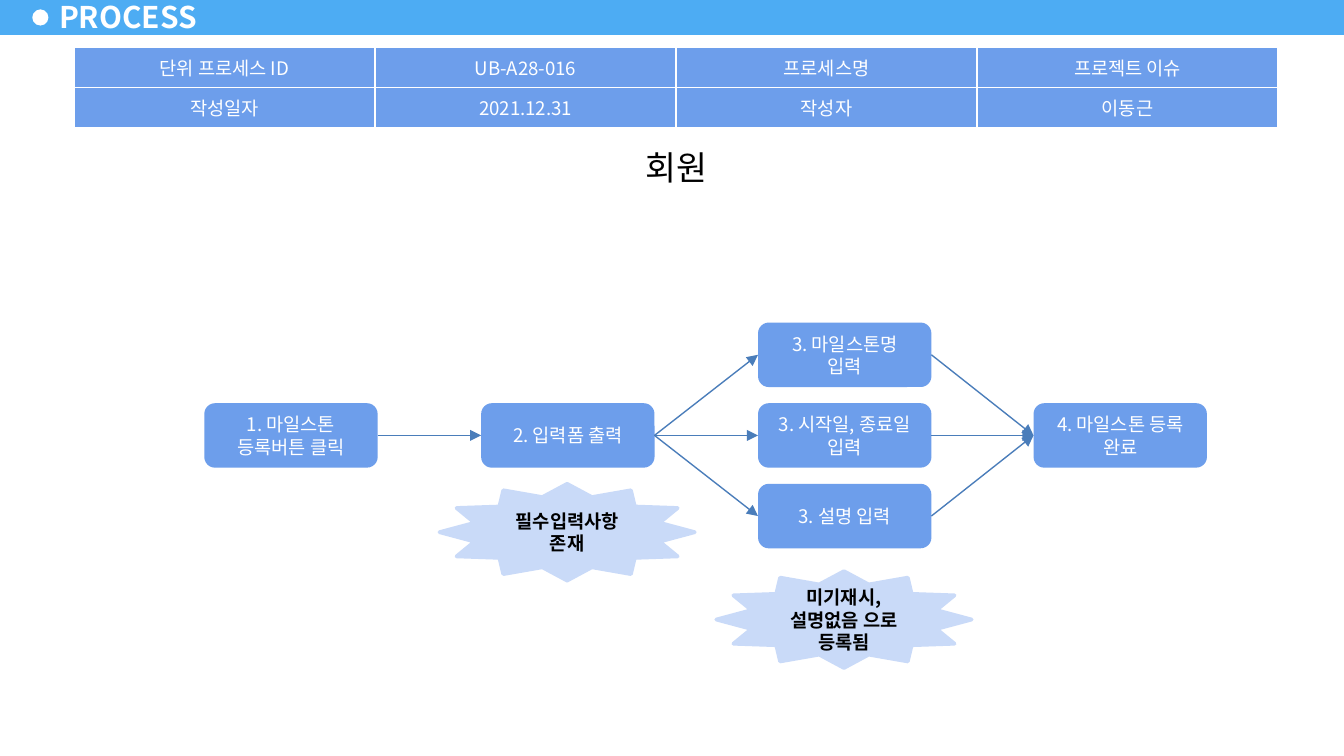
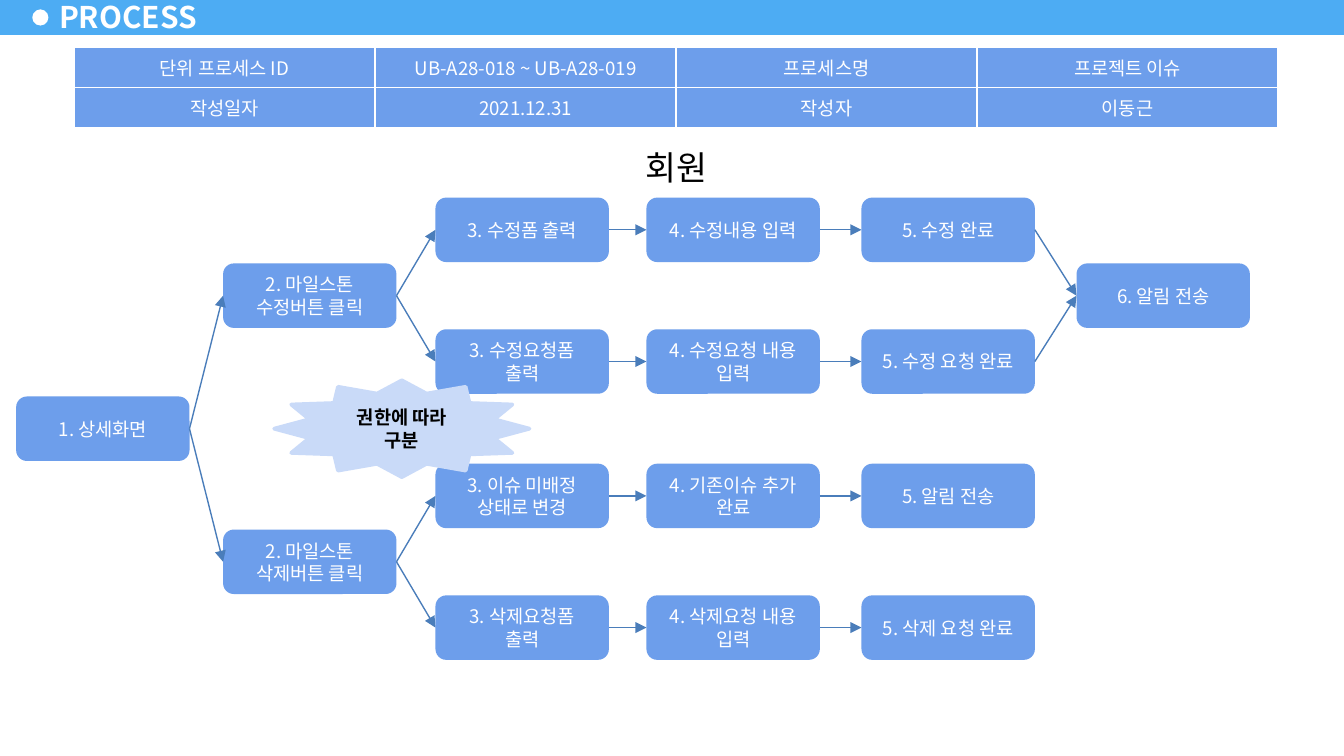
from dataclasses import dataclass

from lxml import etree
from pptx import Presentation
from pptx.dml.color import RGBColor
from pptx.enum import shapes, text
from pptx.oxml import ns
from pptx.util import Inches, Pt


@dataclass(frozen=True)
class Theme:
    """Colours, font and sizes of the whole deck."""
    font: str = "Noto Sans CJK KR"
    band: str = "4DACF3"
    node: str = "6D9EEB"
    note: str = "C9DAF8"
    arrow: str = "4A7DBA"
    white: str = "FFFFFF"
    black: str = "000000"
    title: int = 16
    heading: int = 18
    body: int = 10


T = Theme()
SHAPE = shapes.MSO_SHAPE
MIDDLE = text.MSO_ANCHOR.MIDDLE
CENTER = text.PP_ALIGN.CENTER
NODE_W, NODE_H = 1.29, 0.48
NOTE_W, NOTE_H = 1.9, 0.72

REGISTER = {
    "id": "UB-A28-016",
    "cols": [1.52, 3.58, 5.64, 7.69],
    "rows": [2.4, 3, 3.6],
    "nodes": {
        "click": (0, 1, "1. 마일스톤 등록버튼 클릭"),
        "form": (1, 1, "2. 입력폼 출력"),
        "name": (2, 0, "3. 마일스톤명 입력"),
        "dates": (2, 1, "3. 시작일, 종료일 입력"),
        "desc": (2, 2, "3. 설명 입력"),
        "done": (3, 1, "4. 마일스톤 등록 완료"),
    },
    "flows": ["click form", "form name done", "form dates done", "form desc done"],
    "notes": [(3.27, 3.6, "필수입력사항 존재"),
              (5.33, 4.25, "미기재시, 설명없음 으로 등록됨")],
}

EDIT = {
    "id": "UB-A28-018 ~ UB-A28-019",
    "cols": [0.12, 1.66, 3.24, 4.81, 6.41, 8.01],
    "rows": [1.47, 1.96, 2.45, 2.95, 3.45, 3.94, 4.43],
    "nodes": {
        "detail": (0, 3, "1. 상세화면"),
        "edit": (1, 1, "2. 마일스톤 수정버튼 클릭"),
        "delete": (1, 5, "2. 마일스톤 삭제버튼 클릭"),
        "edit_form": (2, 0, "3. 수정폼 출력"),
        "edit_input": (3, 0, "4. 수정내용 입력"),
        "edit_done": (4, 0, "5. 수정 완료"),
        "ask_form": (2, 2, "3. 수정요청폼 출력"),
        "ask_input": (3, 2, "4. 수정요청 내용 입력"),
        "ask_done": (4, 2, "5. 수정 요청 완료"),
        "unassign": (2, 4, "3. 이슈 미배정 상태로 변경"),
        "issue_added": (3, 4, "4. 기존이슈 추가 완료"),
        "issue_alert": (4, 4, "5. 알림 전송"),
        "drop_form": (2, 6, "3. 삭제요청폼 출력"),
        "drop_input": (3, 6, "4. 삭제요청 내용 입력"),
        "drop_done": (4, 6, "5. 삭제 요청 완료"),
        "alert": (5, 1, "6. 알림 전송"),
    },
    "flows": ["detail edit", "detail delete",
              "edit edit_form edit_input edit_done alert",
              "edit ask_form ask_input ask_done alert",
              "delete unassign issue_added issue_alert",
              "delete drop_form drop_input drop_done"],
    "notes": [(2.04, 2.83, "권한에 따라 구분")],
}


def rgb(value):
    """Turn a hex string into a colour."""
    return RGBColor.from_string(value)


def write(tf, words, size=T.body, color=T.white, bold=False, align=CENTER):
    """Put one formatted paragraph into a text frame."""
    p = tf.paragraphs[0]
    p.alignment = align
    r = p.add_run()
    r.text = words
    r.font.size, r.font.bold, r.font.name = Pt(size), bold, T.font
    r.font.color.rgb = rgb(color)
    ea = etree.SubElement(r._r.get_or_add_rPr(), ns.qn("a:ea"))
    ea.set("typeface", T.font)


def add_box(slide, kind, x, y, w, h, fill, line=None):
    """Add a flat filled shape, outlined only if a line colour is given."""
    sp = slide.shapes.add_shape(kind, Inches(x), Inches(y), Inches(w), Inches(h))
    sp.shadow.inherit = False
    sp.fill.solid()
    sp.fill.fore_color.rgb = rgb(fill)
    if line:
        sp.line.color.rgb = rgb(line)
        sp.line.width = Pt(2)
    else:
        sp.line.fill.background()
    sp.text_frame.word_wrap = True
    return sp


def add_node(slide, x, y, words):
    """Add one rounded process step."""
    sp = add_box(slide, SHAPE.ROUNDED_RECTANGLE, x, y, NODE_W, NODE_H, T.node)
    write(sp.text_frame, words)
    return sp


def add_note(slide, x, y, words):
    """Add a star-shaped remark."""
    sp = add_box(slide, SHAPE.STAR_12_POINT, x, y, NOTE_W, NOTE_H, T.note, T.note)
    write(sp.text_frame, words, color=T.black, bold=True)


def add_arrow(slide, start, end):
    """Join the right side of one step to the left side of the next."""
    line = slide.shapes.add_connector(shapes.MSO_CONNECTOR.STRAIGHT, 0, 0, 0, 0)
    line.begin_connect(start, 3)
    line.end_connect(end, 1)
    line.line.color.rgb = rgb(T.arrow)
    line.line.width = Pt(0.75)
    tail = etree.SubElement(line.line._get_or_add_ln(), ns.qn("a:tailEnd"))
    tail.set("type", "triangle")
    etree.SubElement(line._element.spPr, ns.qn("a:effectLst"))


def border_cell(cell):
    """Draw a thin white border on each side of a cell."""
    tc_pr = cell._tc.get_or_add_tcPr()
    for side in ("lnL", "lnR", "lnT", "lnB"):
        ln = etree.SubElement(tc_pr, ns.qn(f"a:{side}"), w=str(Pt(1)))
        fill = etree.SubElement(ln, ns.qn("a:solidFill"))
        etree.SubElement(fill, ns.qn("a:srgbClr"), val=T.white)


def add_info_table(slide, process_id):
    """Add the process header table."""
    rows = [["단위 프로세스 ID", process_id, "프로세스명", "프로젝트 이슈"],
            ["작성일자", "2021.12.31", "작성자", "이동근"]]
    frame = slide.shapes.add_table(2, 4, Inches(0.55), Inches(0.35),
                                   Inches(8.96), Inches(0.57))
    table = frame.table
    table.first_row = table.horz_banding = False
    for row, height in zip(table.rows, (0.29, 0.28)):
        row.height = Inches(height)
    for i, row in enumerate(rows):
        for j, words in enumerate(row):
            cell = table.cell(i, j)
            border_cell(cell)
            cell.fill.solid()
            cell.fill.fore_color.rgb = rgb(T.node)
            cell.vertical_anchor = MIDDLE
            write(cell.text_frame, words)


def add_heading(slide, words):
    """Add the centred heading under the table."""
    sp = add_box(slide, SHAPE.RECTANGLE, 3.24, 1.04, 3.58, 0.41, T.white)
    tf = sp.text_frame
    tf.vertical_anchor = text.MSO_ANCHOR.TOP
    tf.auto_size = text.MSO_AUTO_SIZE.SHAPE_TO_FIT_TEXT
    write(tf, words, T.heading, T.black)


def dress_layout(layout, slide):
    """Move the band and dot, made on a slide, into the shared layout."""
    band = add_box(slide, SHAPE.RECTANGLE, 0, -0.02, 10, 0.28, T.band)
    dot = add_box(slide, SHAPE.OVAL, 0.24, 0.07, 0.12, 0.12, T.white)
    for sp in (band, dot):
        layout.shapes.element.append(sp.element)


def set_title(slide, words):
    """Place and format the slide title."""
    sp = slide.shapes.title
    sp.left, sp.top = Inches(0.35), Inches(-0.04)
    sp.width, sp.height = Inches(1.22), Inches(0.32)
    tf = sp.text_frame
    tf.margin_left = tf.margin_right = Inches(0.09)
    tf.margin_top = tf.margin_bottom = Inches(0.04)
    tf.vertical_anchor = MIDDLE
    tf.auto_size = text.MSO_AUTO_SIZE.NONE
    write(tf, words, T.title, bold=True, align=text.PP_ALIGN.LEFT)


def fill_slide(slide, process):
    """Lay out one process: title, table, steps, arrows and notes."""
    set_title(slide, "PROCESS")
    add_info_table(slide, process["id"])
    add_heading(slide, "회원")
    nodes = {key: add_node(slide, process["cols"][c], process["rows"][r], words)
             for key, (c, r, words) in process["nodes"].items()}
    for flow in process["flows"]:
        keys = flow.split()
        for start, end in zip(keys, keys[1:]):
            add_arrow(slide, nodes[start], nodes[end])
    for note in process["notes"]:
        add_note(slide, *note)


def main():
    """Build and save the deck."""
    prs = Presentation()
    prs.slide_width = Inches(10)
    prs.slide_height = Inches(10) * 9 // 16
    layout = prs.slide_layouts.get_by_name("Title Only")
    slides = [prs.slides.add_slide(layout) for _ in range(2)]
    dress_layout(layout, slides[0])
    for slide, process in zip(slides, (REGISTER, EDIT)):
        fill_slide(slide, process)
    prs.save("out.pptx")


if __name__ == "__main__":
    main()
